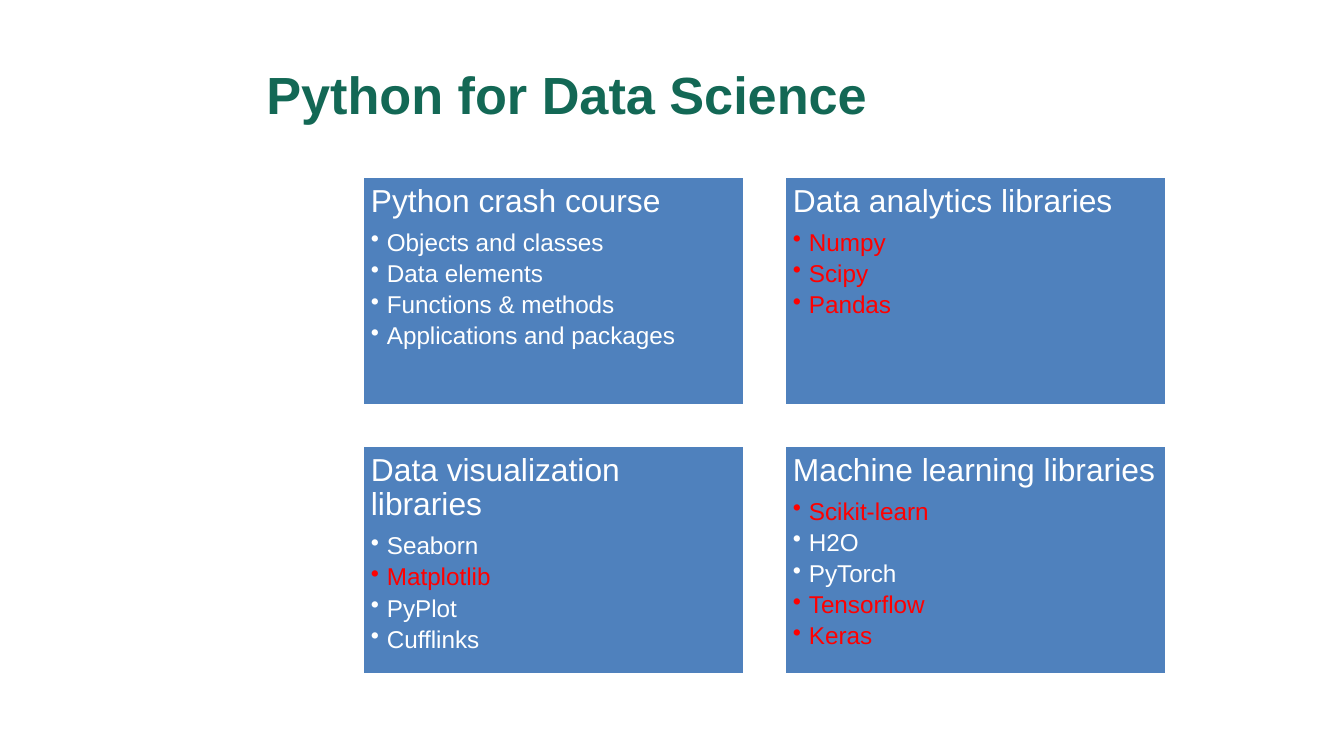
from lxml.etree import SubElement
from pptx import Presentation
from pptx.dml.color import RGBColor
from pptx.enum.shapes import MSO_SHAPE as Shape
from pptx.enum.text import MSO_ANCHOR as Anchor, MSO_AUTO_SIZE as AutoSize, PP_ALIGN as Align
from pptx.oxml.ns import qn
from pptx.util import Emu, Pt

GREEN = RGBColor(0x13, 0x68, 0x55)
BLUE = RGBColor(0x4F, 0x81, 0xBD)
WHITE = RGBColor(0xFF, 0xFF, 0xFF)
RED = RGBColor(0xFF, 0x00, 0x00)

EMU_PER_PX = 914400 / 134.4
SLIDE_SIZE = 1344, 756
LEFT, TOP = 362, 176
CARD_SIZE = 383, 230
COLUMN_STEP, ROW_STEP = 422, 269

TOPICS = [
    ("Python crash course",
     ["Objects and classes", "Data elements", "Functions & methods",
      "Applications and packages"]),
    ("Data analytics libraries", ["Numpy", "Scipy", "Pandas"]),
    ("Data visualization libraries", ["Seaborn", "Matplotlib", "PyPlot", "Cufflinks"]),
    ("Machine learning libraries",
     ["Scikit-learn", "H2O", "PyTorch", "Tensorflow", "Keras"]),
]
HIGHLIGHTED = {"Numpy", "Scipy", "Pandas", "Matplotlib", "Scikit-learn", "Tensorflow", "Keras"}


def px(length):
    return Emu(round(length * EMU_PER_PX))


class TopicSlide:
    """Builds the heading and topic cards of one slide in a shared style."""

    font_name = "Arial"
    inset = 9
    indent = 16

    def __init__(self, deck):
        self.slide = deck.slides.add_slide(deck.slide_layouts[5])

    def add_text(self, paragraph, text, size, color, bold=False):
        run = paragraph.add_run()
        run.text = text
        run.font.name = self.font_name
        run.font.size = Pt(size)
        run.font.bold = bold
        run.font.color.rgb = color
        paragraph.alignment = Align.LEFT

    def heading(self, text, left, top, width, height):
        title = self.slide.shapes.title
        title.left, title.top, title.width, title.height = map(px, (left, top, width, height))
        frame = title.text_frame
        frame.auto_size = AutoSize.NONE
        frame.vertical_anchor = Anchor.MIDDLE
        self.add_text(frame.paragraphs[0], text, 28, GREEN, bold=True)

    def card(self, topic, items, left, top):
        card = self.slide.shapes.add_shape(
            Shape.RECTANGLE, *map(px, (left, top, *CARD_SIZE)))
        card.shadow.inherit = False
        card.fill.solid()
        card.fill.fore_color.rgb = BLUE
        card.line.color.rgb = WHITE
        card.line.width = Pt(2)
        frame = card.text_frame
        frame.word_wrap = True
        frame.vertical_anchor = Anchor.TOP
        frame.margin_left = frame.margin_right = px(self.inset)
        frame.margin_top = frame.margin_bottom = px(self.inset)
        topic_line = frame.paragraphs[0]
        topic_line.line_spacing = 0.9
        topic_line.space_after = Pt(6)
        self.add_text(topic_line, topic, 17, WHITE)
        for item in items:
            self.bullet(frame.add_paragraph(), item)

    def bullet(self, paragraph, item):
        paragraph.level = 1
        paragraph.line_spacing = 0.9
        paragraph.space_after = Pt(2.6)
        self.add_text(paragraph, item, 13, RED if item in HIGHLIGHTED else WHITE)
        properties = paragraph._p.get_or_add_pPr()
        properties.set("marL", str(px(self.indent)))
        properties.set("indent", str(-px(self.indent)))
        SubElement(properties, qn("a:buChar")).set("char", "•")


def main():
    deck = Presentation()
    deck.slide_width, deck.slide_height = map(px, SLIDE_SIZE)
    page = TopicSlide(deck)
    page.heading("Python for Data Science", 253, 31, 1024, 126)
    for index, (topic, items) in enumerate(TOPICS):
        row, column = divmod(index, 2)
        page.card(topic, items, LEFT + column * COLUMN_STEP, TOP + row * ROW_STEP)
    deck.save("out.pptx")


if __name__ == "__main__":
    main()
